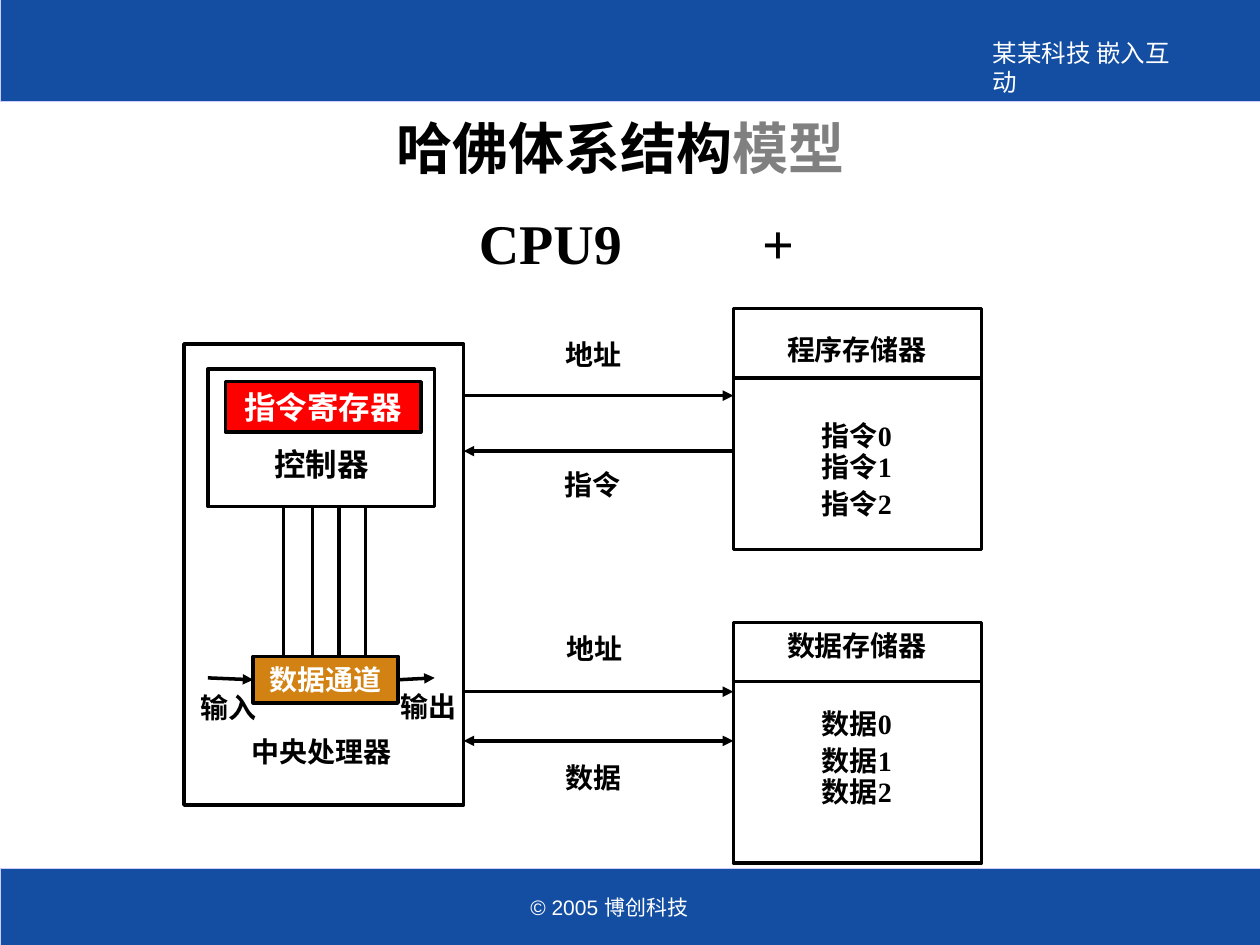
from dataclasses import dataclass
from typing import NamedTuple, Optional

from lxml import etree
from pptx import Presentation
from pptx.dml.color import RGBColor
from pptx.enum import shapes, text
from pptx.oxml.ns import qn
from pptx.util import Inches, Pt


@dataclass(frozen=True)
class Theme:
    band: str = "134EA2"
    band_line: str = "CCCCFF"
    black: str = "000000"
    white: str = "FFFFFF"
    gray: str = "808080"
    red: str = "FF0000"
    orange: str = "D18213"
    serif: str = "Times New Roman"
    sans: str = "Arial"
    cjk: str = "Noto Sans CJK SC"
    title: int = 32
    large: int = 18
    label: int = 16
    header: int = 14
    footer: int = 12
    line: float = 2


class Box(NamedTuple):
    left: float
    top: float
    width: float
    height: float


class Label(NamedTuple):
    wording: str
    box: Box
    size: int = 16
    align: text.PP_ALIGN = text.PP_ALIGN.CENTER


class Arrow(NamedTuple):
    start: float
    end: float
    y: float
    double: bool = False


class Memory(NamedTuple):
    top: float
    title: str
    title_top: float
    divider: float
    items: dict[str, float]


THEME = Theme()
LEFT, CENTER, RIGHT = text.PP_ALIGN.LEFT, text.PP_ALIGN.CENTER, text.PP_ALIGN.RIGHT

# Diagram columns
CPU = Box(1.46, 2.73, 2.22, 3.66)
CONTROLLER = Box(1.65, 2.93, 1.8, 1.09)
REGISTER = Box(1.79, 3.03, 1.55, 0.4)
DATA_PATH = Box(2.01, 5.21, 1.15, 0.37)
CPU_RIGHT = CPU.left + CPU.width
MEMORY_LEFT, MEMORY_WIDTH, MEMORY_HEIGHT = 5.82, 1.97, 1.91
PORT_Y = 5.38

MEMORIES = [
    Memory(2.45, "程序存储器", 2.59, 3.0, {"指令0": 3.27, "指令1": 3.52, "指令2": 3.81}),
    Memory(4.94, "数据存储器", 4.94, 5.41, {"数据0": 5.56, "数据1": 5.85, "数据2": 6.1}),
]
BUSES = [
    Arrow(CPU_RIGHT, MEMORY_LEFT, 3.14),
    Arrow(MEMORY_LEFT, CPU_RIGHT, 3.58),
    Arrow(CPU_RIGHT, MEMORY_LEFT, 5.49),
    Arrow(MEMORY_LEFT, CPU_RIGHT, 5.88, double=True),
]
LABELS = [
    Label("控制器", Box(1.65, 3.48, 1.8, 0.4), THEME.large),
    Label("输入", Box(1.49, 5.43, 0.76, 0.37), align=LEFT),
    Label("输出", Box(3.08, 5.42, 0.76, 0.37), align=LEFT),
    Label("中央处理器", Box(1.9, 5.78, 1.32, 0.37), align=LEFT),
    Label("地址", Box(4.39, 2.63, 0.76, 0.37), align=LEFT),
    Label("指令", Box(4.38, 3.66, 0.76, 0.37), align=LEFT),
    Label("地址", Box(4.4, 4.96, 0.76, 0.37), align=LEFT),
    Label("数据", Box(4.39, 5.99, 0.76, 0.37), align=LEFT),
]


def style(paragraph, size: int, color: str = THEME.black, bold: bool = True,
          name: str = THEME.serif, align=LEFT) -> None:
    paragraph.alignment = align
    font = paragraph.font
    font.size, font.bold, font.name = Pt(size), bold, name
    font.color.rgb = RGBColor.from_string(color)
    latin = font._element.find(qn("a:latin"))
    east_asian = etree.Element(qn("a:ea"))
    east_asian.set("typeface", THEME.cjk)
    latin.addnext(east_asian)


def add_box(slide, box: Box, fill: Optional[str] = None, line: str = THEME.black,
            line_width: float = THEME.line):
    shape = slide.shapes.add_shape(shapes.MSO_SHAPE.RECTANGLE, *map(Inches, box))
    shape.shadow.inherit = False
    if fill:
        shape.fill.solid()
        shape.fill.fore_color.rgb = RGBColor.from_string(fill)
    else:
        shape.fill.background()
    shape.line.color.rgb = RGBColor.from_string(line)
    shape.line.width = Pt(line_width)
    return shape


def add_filled_label(slide, wording: str, box: Box, fill: str, size: int):
    shape = add_box(slide, box, fill)
    shape.text_frame.text = wording
    shape.text_frame.vertical_anchor = text.MSO_ANCHOR.MIDDLE
    style(shape.text_frame.paragraphs[0], size, THEME.white, align=CENTER)
    return shape


def add_text(slide, wording: str, box: Box, size: int, wrap: bool = True, **look) -> None:
    frame = slide.shapes.add_textbox(*map(Inches, box)).text_frame
    frame.word_wrap = wrap
    frame.text = wording
    style(frame.paragraphs[0], size, **look)


def add_line(slide, x1: float, y1: float, x2: float, y2: float,
             head: bool = False, tail: bool = False):
    connector = slide.shapes.add_connector(
        shapes.MSO_CONNECTOR.STRAIGHT, *map(Inches, (x1, y1, x2, y2)))
    connector.line.color.rgb = RGBColor.from_string(THEME.black)
    connector.line.width = Pt(THEME.line)
    outline = connector.line._get_or_add_ln()
    for tag, wanted in (("a:headEnd", head), ("a:tailEnd", tail)):
        if wanted:
            etree.SubElement(outline, qn(tag)).set("type", "triangle")
    etree.SubElement(connector._element.spPr, qn("a:effectLst"))
    return connector


def add_memory(slide, memory: Memory) -> None:
    add_box(slide, Box(MEMORY_LEFT, memory.top, MEMORY_WIDTH, MEMORY_HEIGHT))
    add_line(slide, MEMORY_LEFT, memory.divider, MEMORY_LEFT + MEMORY_WIDTH, memory.divider)
    for wording, top in {memory.title: memory.title_top, **memory.items}.items():
        add_text(slide, wording, Box(6.14, top, 1.32, 0.37), THEME.label, align=CENTER)


def add_title(slide) -> None:
    frame = slide.shapes.add_textbox(*map(Inches, (0.51, 0.91, 8.83, 1.25))).text_frame
    frame.word_wrap = True
    frame.margin_left = frame.margin_right = Inches(0.09)
    title, subtitle = frame.paragraphs[0], frame.add_paragraph()
    title.add_run().text = "哈佛体系结构"
    accent = title.add_run()
    accent.text = "模型"
    accent.font.color.rgb = RGBColor.from_string(THEME.gray)
    subtitle.add_run().text = "CPU9\t+"
    subtitle.space_before = Pt(20)
    # Left indent and a tab stop for the plus sign
    properties = subtitle._p.get_or_add_pPr()
    properties.set("marL", str(Inches(3.2)))
    stops = etree.SubElement(properties, qn("a:tabLst"))
    stop = etree.SubElement(stops, qn("a:tab"))
    stop.set("pos", str(Inches(4.72)))
    stop.set("algn", "l")
    for paragraph, align in ((title, CENTER), (subtitle, LEFT)):
        paragraph.line_spacing = 0.9
        style(paragraph, THEME.title, align=align)


def main() -> None:
    presentation = Presentation()
    presentation.slide_width, presentation.slide_height = Inches(10), Inches(7.5)
    slide = presentation.slides.add_slide(presentation.slide_layouts[6])

    # Header and footer bands
    for band in (Box(0, 6.89, 10, 0.61), Box(0, -0.01, 10, 0.81)):
        add_box(slide, band, THEME.band, THEME.band_line, 0.25)
    add_text(slide, "某某科技 嵌入互动", Box(7.78, 0.25, 1.8, 0.34), THEME.header,
             wrap=False, color=THEME.white, bold=False, name=THEME.cjk)
    add_text(slide, "© 2005 博创科技", Box(3.79, 7.05, 1.77, 0.3), THEME.footer,
             color=THEME.white, bold=False, name=THEME.sans, align=RIGHT)
    add_title(slide)

    # Processor with its controller and data path
    add_box(slide, CPU)
    add_box(slide, CONTROLLER)
    add_filled_label(slide, "指令寄存器", REGISTER, THEME.red, THEME.large)
    data_path = add_filled_label(slide, "数据通道", DATA_PATH, THEME.orange, THEME.label)
    for x in (2.25, 2.48, 2.69, 2.9):
        add_line(slide, x, CONTROLLER.top + CONTROLLER.height, x, DATA_PATH.top)
    add_line(slide, 1.65, PORT_Y, DATA_PATH.left, PORT_Y, tail=True).end_connect(data_path, 1)
    add_line(slide, DATA_PATH.left + DATA_PATH.width, PORT_Y, 3.45, PORT_Y,
             tail=True).begin_connect(data_path, 3)

    # Memories, buses and labels
    for memory in MEMORIES:
        add_memory(slide, memory)
    for bus in BUSES:
        add_line(slide, bus.start, bus.y, bus.end, bus.y, head=bus.double, tail=True)
    for label in LABELS:
        add_text(slide, label.wording, label.box, label.size, align=label.align)

    presentation.save("out.pptx")


if __name__ == "__main__":
    main()
